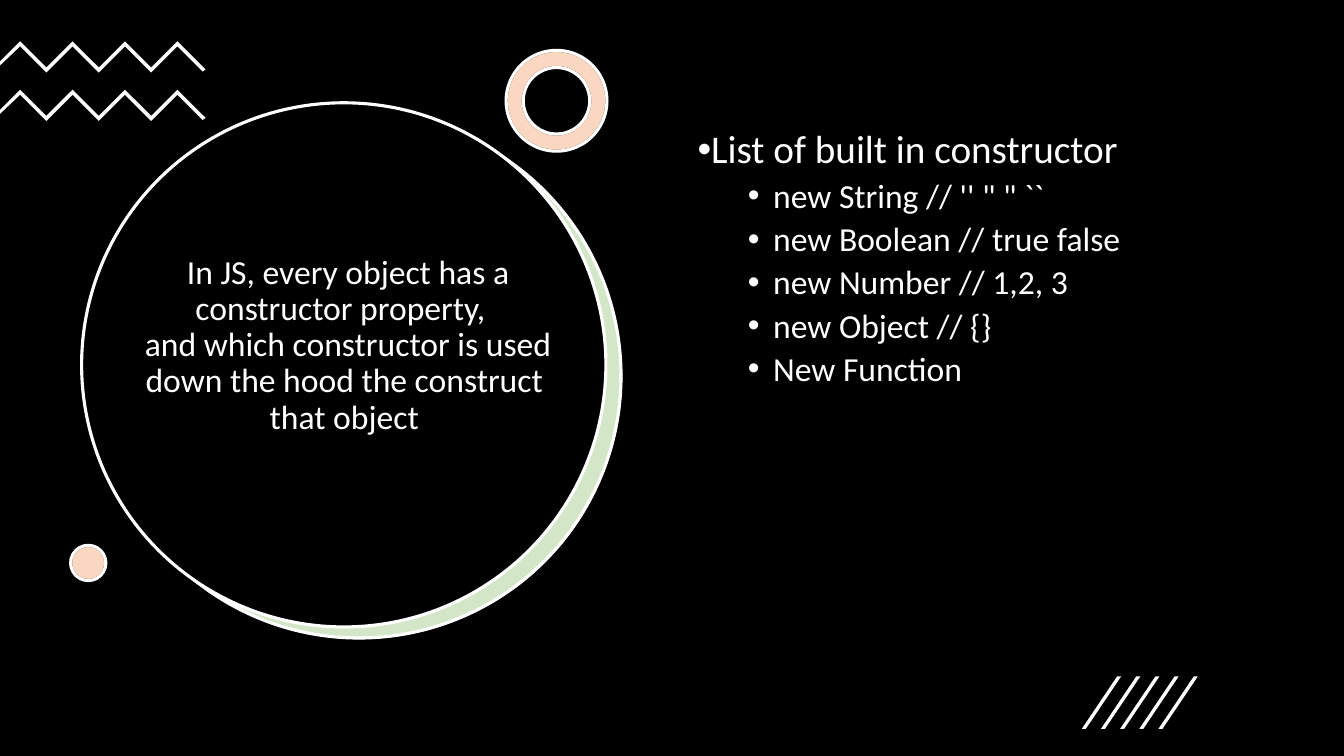
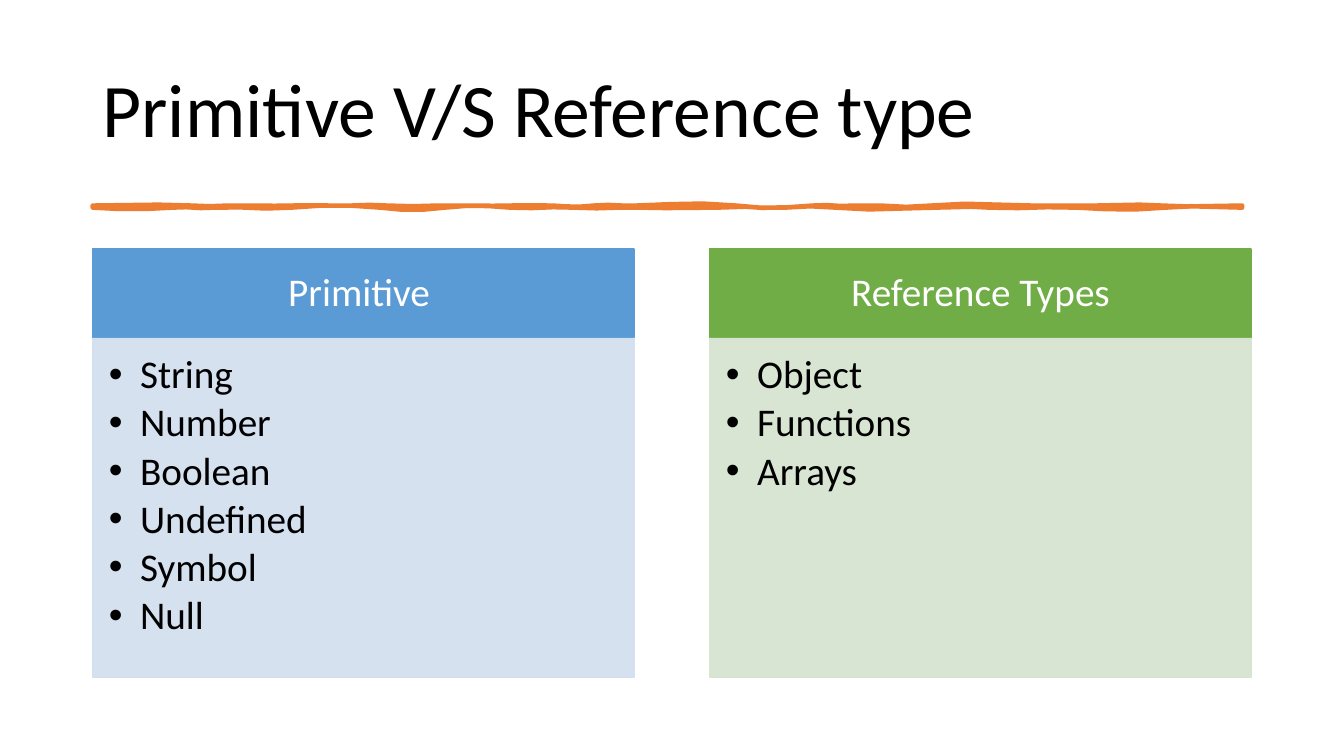
import lxml.etree
import pptx
import pptx.dml.color
import pptx.enum.shapes
import pptx.enum.text
import pptx.oxml.ns
import pptx.util

Inches = pptx.util.Inches
Pt = pptx.util.Pt
RGBColor = pptx.dml.color.RGBColor
Shapes = pptx.enum.shapes.MSO_SHAPE
Align = pptx.enum.text.PP_ALIGN
Anchor = pptx.enum.text.MSO_ANCHOR
qn = pptx.oxml.ns.qn

FONT = "Calibri"
BLACK = RGBColor(0x00, 0x00, 0x00)
WHITE = RGBColor(0xFF, 0xFF, 0xFF)
ORANGE = RGBColor(0xED, 0x7D, 0x31)
GREEN = RGBColor(0x70, 0xAD, 0x47)
BLUE = RGBColor(0x5B, 0x9B, 0xD5)
PALE_BLUE = RGBColor(0xD2, 0xDE, 0xEF)
PALE_GREEN = RGBColor(0xD5, 0xE3, 0xCF)

SLIDE_WIDTH, SLIDE_HEIGHT = 13.33, 7.5
TEXT_INSETS = (0.1, 0.05, 0.1, 0.05)
HEADER_INSETS = (0.22, 0.12, 0.22, 0.12)
PANEL_INSETS = (0.16, 0.16, 0.22, 0.24)

RULE_LEFT, RULE_TOP, RULE_BOTTOM = 0.92, 2.04, 2.06
RULE_RIGHT = 12.32
TOP_SWELLS = [
    (1.9, -0.02), (2.44, -0.01), (3.31, -0.01), (3.84, -0.02),
    (4.6, -0.01), (5.48, -0.01), (5.89, 0.02), (6.31, 0.01),
    (7.3, -0.04), (8.06, 0.02), (8.48, 0.02), (9.24, 0.04),
    (10.23, 0), (10.87, 0), (11.52, -0.02), (RULE_RIGHT, 0),
]
BOTTOM_SWELLS = [
    (11.56, -0.03), (10.68, 0.02), (9.81, 0.02), (9.28, 0),
    (8.29, 0.04), (7.53, 0.02), (7.11, 0), (6.35, 0.01),
    (5.7, 0.02), (5.06, 0.02), (4.41, -0.03), (3.77, 0.03),
    (2.89, -0.03), (2.13, -0.02), (1.71, -0.02), (RULE_LEFT, 0.02),
]


def add_slide(presentation):
    return presentation.slides.add_slide(presentation.slide_layouts[6])


def set_alpha(element, percent):
    for color in element.iter(qn("a:srgbClr")):
        alpha = lxml.etree.SubElement(color, qn("a:alpha"))
        alpha.set("val", str(percent * 1000))


def style_shape(shape, fill, line=None, width=2.25, fill_alpha=None, line_alpha=None):
    shape.shadow.inherit = False
    shape.fill.solid()
    shape.fill.fore_color.rgb = fill
    properties = shape.element.spPr
    if fill_alpha:
        set_alpha(properties.find(qn("a:solidFill")), fill_alpha)
    if line is None:
        shape.line.fill.background()
        return
    shape.line.color.rgb = line
    shape.line.width = Pt(width)
    if line_alpha:
        set_alpha(properties.find(qn("a:ln")), line_alpha)


def add_shape(slide, kind, box, fill, **style):
    shape = slide.shapes.add_shape(kind, *map(Inches, box))
    style_shape(shape, fill, **style)
    return shape


def add_outline(slide, points, fill, **style):
    start, *others = [(Inches(x), Inches(y)) for x, y in points]
    builder = slide.shapes.build_freeform(*start)
    builder.add_line_segments(others, close=True)
    style_shape(builder.convert_to_shape(), fill, **style)


def add_text_box(slide, box):
    return slide.shapes.add_textbox(*map(Inches, box))


def set_bullet(paragraph, left, hang):
    properties = paragraph._p.get_or_add_pPr()
    properties.set("marL", str(Inches(left)))
    properties.set("indent", str(-Inches(hang)))
    lxml.etree.SubElement(properties, qn("a:buFont")).set("typeface", "Arial")
    lxml.etree.SubElement(properties, qn("a:buChar")).set("char", "•")


def write_text(shape, lines, size, color, alignment=Align.LEFT, anchor=Anchor.TOP,
               insets=TEXT_INSETS, bullet=None, before=0, after=0):
    frame = shape.text_frame
    frame.word_wrap = True
    frame.vertical_anchor = anchor
    (frame.margin_left, frame.margin_top,
     frame.margin_right, frame.margin_bottom) = map(Inches, insets)
    for line in lines:
        paragraph = frame.paragraphs[0]
        if paragraph.text:
            paragraph = frame.add_paragraph()
            paragraph.space_before = Pt(before)
        if bullet:
            set_bullet(paragraph, *bullet)
        paragraph.text = line
        paragraph.alignment = alignment
        paragraph.line_spacing = 0.9
        paragraph.space_after = Pt(after)
        paragraph.font.name = FONT
        paragraph.font.size = Pt(size)
        paragraph.font.color.rgb = color


def add_tinted_shape(slide, kind, box, adjustment=None):
    layers = [
        add_shape(slide, kind, box, WHITE, line=BLACK),
        add_shape(slide, kind, box, ORANGE, line=WHITE, fill_alpha=30),
    ]
    if adjustment:
        for layer in layers:
            layer.adjustments[0] = adjustment


def add_zigzag(slide, top):
    peaks = [(0.2 + 0.26 * i, top + 0.26 * (i % 2)) for i in range(7)]
    upper = [(0, top + 0.2), *peaks, (2.04, top + 0.28)]
    lower = [(0, top + 0.24), *((x, y + 0.05) for x, y in peaks), (2.01, top + 0.3)]
    add_outline(slide, upper + lower[::-1], WHITE)


def add_slashes(slide, left, top, count):
    for i in range(count):
        x = left + 0.19 * i
        corners = [(x + 0.04, top + 0.52), (x, top + 0.52), (x + 0.35, top), (x + 0.39, top)]
        add_outline(slide, corners, WHITE)


def wavy_edge(start, edge, swells, steps=3):
    points = [(start, edge)]
    previous_swell = 0
    for end, swell in swells:
        for step in range(1, steps + 1):
            t = step / steps
            bend = 3 * t * (1 - t) * (swell * t - previous_swell * (1 - t))
            points.append((start + (end - start) * t, edge + bend))
        start, previous_swell = end, swell
    return points


def add_wavy_rule(slide):
    top = wavy_edge(RULE_LEFT, RULE_TOP, TOP_SWELLS)
    bottom = wavy_edge(RULE_RIGHT, RULE_BOTTOM, BOTTOM_SWELLS)
    add_outline(slide, top + bottom, ORANGE, line=ORANGE, width=3.25)


def add_type_column(slide, left, heading, items, color, pale_color):
    header = add_shape(slide, Shapes.RECTANGLE, (left, 2.47, 5.37, 0.88), color,
                       line=color, width=1)
    write_text(header, [heading], size=28, color=WHITE, alignment=Align.CENTER,
               anchor=Anchor.MIDDLE, insets=HEADER_INSETS)
    panel = add_shape(slide, Shapes.RECTANGLE, (left, 3.36, 5.37, 3.36), pale_color,
                      line=pale_color, width=1, fill_alpha=90, line_alpha=90)
    write_text(panel, items, size=28, color=BLACK, insets=PANEL_INSETS,
               bullet=(0.31, 0.31), after=4.2)


def build_constructor_slide(presentation):
    slide = add_slide(presentation)
    add_shape(slide, Shapes.RECTANGLE, (0, 0, SLIDE_WIDTH, SLIDE_HEIGHT), BLACK)
    add_shape(slide, Shapes.OVAL, (0.97, 1.14, 5.2, 5.2), WHITE)
    add_shape(slide, Shapes.OVAL, (0.96, 1.13, 5.2, 5.2), GREEN, line=WHITE, fill_alpha=30)
    add_shape(slide, Shapes.OVAL, (0.81, 1.02, 5.2, 5.2), BLACK, line=WHITE)
    statement = add_text_box(slide, (1.21, 2.05, 4.41, 2.76))
    write_text(
        statement,
        [" In JS, every object has a constructor property, \v"
         " and which constructor is used down the hood the construct that object"],
        size=24, color=WHITE, alignment=Align.CENTER, anchor=Anchor.MIDDLE)

    for top in (0.41, 0.89):
        add_zigzag(slide, top)
    add_tinted_shape(slide, Shapes.DONUT, (5.02, 0.5, 1, 1), adjustment=0.17)
    add_tinted_shape(slide, Shapes.OVAL, (0.7, 5.41, 0.35, 0.35))

    constructors = add_text_box(slide, (6.82, 1.24, 5.71, 4.76))
    write_text(constructors, ["List of built in constructor"], size=28, color=WHITE,
               bullet=(0, 0.25))
    write_text(
        constructors,
        ["new String // '' \" \" ``", "new Boolean // true false",
         "new Number // 1,2, 3", "new Object // {}", "New Function"],
        size=24, color=WHITE, bullet=(0.75, 0.25), before=5)
    add_slashes(slide, left=10.73, top=6.71, count=5)


def build_types_slide(presentation):
    slide = add_slide(presentation)
    title = add_text_box(slide, (0.92, 0.4, 11.5, 1.45))
    write_text(title, ["Primitive V/S Reference type"], size=54, color=BLACK,
               anchor=Anchor.MIDDLE)
    add_wavy_rule(slide)
    add_type_column(slide, 0.92, "Primitive ",
                    ["String", "Number", "Boolean", "Undefined", "Symbol", "Null"],
                    BLUE, PALE_BLUE)
    add_type_column(slide, 7.04, "Reference Types", ["Object", "Functions", "Arrays"],
                    GREEN, PALE_GREEN)


def main():
    presentation = pptx.Presentation()
    presentation.slide_width = Inches(SLIDE_WIDTH)
    presentation.slide_height = Inches(SLIDE_HEIGHT)
    build_constructor_slide(presentation)
    build_types_slide(presentation)
    presentation.save("out.pptx")


if __name__ == "__main__":
    main()
